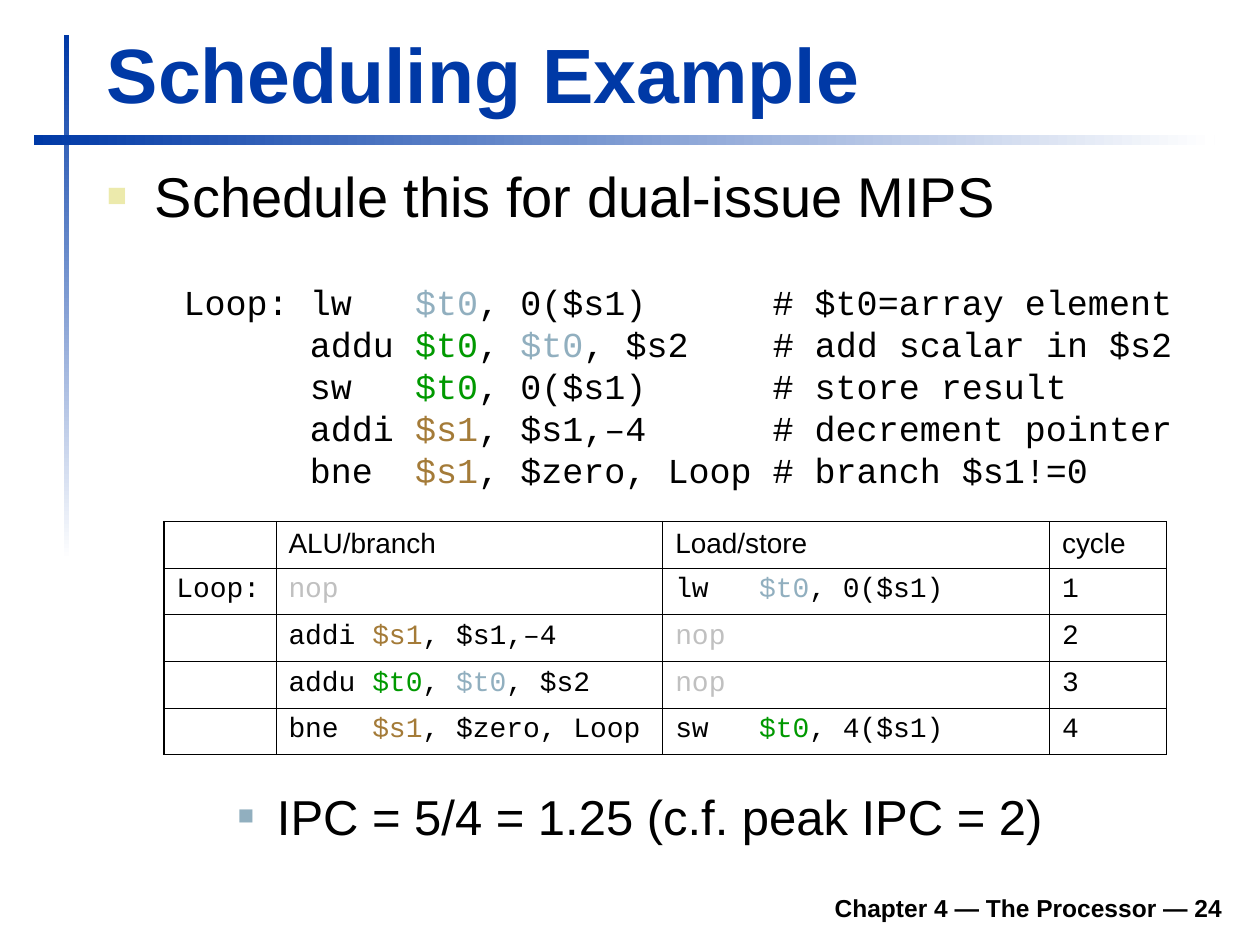
from typing import NamedTuple

from lxml.etree import SubElement
from pptx import Presentation
from pptx.dml.color import RGBColor
from pptx.enum.shapes import MSO_SHAPE as Shape
from pptx.enum.text import MSO_ANCHOR as Anchor, PP_ALIGN as Align
from pptx.oxml.ns import qn
from pptx.util import Inches, Pt

NAVY = RGBColor(0x00, 0x39, 0xA6)
WHITE = RGBColor(0xFF, 0xFF, 0xFF)
BLACK = RGBColor(0x00, 0x00, 0x00)
CREAM = RGBColor(0xEC, 0xEA, 0xAC)
STEEL = RGBColor(0x91, 0xAF, 0xBF)
GREEN = RGBColor(0x00, 0x99, 0x00)
TAN = RGBColor(0xA4, 0x7B, 0x38)
GRAY = RGBColor(0xC0, 0xC0, 0xC0)
SANS, MONO = "Arial", "Courier New"


class Part(NamedTuple):
    text: str
    color: RGBColor = BLACK


class Style(NamedTuple):
    size: float
    font: str = SANS
    color: RGBColor = BLACK
    bold: bool = False


class Box(NamedTuple):
    left: float
    top: float
    width: float
    height: float

    def place(self) -> list:
        return [Inches(side) for side in self]


class Bullet(NamedTuple):
    color: RGBColor
    scale: int
    left: float
    hang: float


# Registers, coloured by the value they carry
LOAD = Part("$t0", STEEL)
SUM = Part("$t0", GREEN)
STEP = Part("$s1", TAN)
NOP = Part("nop", GRAY)

CODE = [
    [Part("Loop: lw   "), LOAD, Part(", 0($s1)      # $t0=array element")],
    [Part("      addu "), SUM, Part(", "), LOAD, Part(", $s2    # add scalar in $s2")],
    [Part("      sw   "), SUM, Part(", 0($s1)      # store result")],
    [Part("      addi "), STEP, Part(", $s1,–4      # decrement pointer")],
    [Part("      bne  "), STEP, Part(", $zero, Loop # branch $s1!=0")],
]

HEAD = [[], [Part("ALU/branch")], [Part("Load/store")], [Part("cycle")]]
SLOTS = [
    ([NOP], [Part("lw   "), LOAD, Part(", 0($s1)")]),
    ([Part("addi "), STEP, Part(", $s1,–4")], [NOP]),
    ([Part("addu "), SUM, Part(", "), LOAD, Part(", $s2")], [NOP]),
    ([Part("bne  "), STEP, Part(", $zero, Loop")], [Part("sw   "), SUM, Part(", 4($s1)")]),
]
WIDTHS = [0.89, 3.07, 3.07, 0.93]
THIN, RULE, THICK = 0.45, 0.75, 1.08


def add_runs(para, parts: list, style: Style) -> None:
    for part in parts:
        run = para.add_run()
        run.text = part.text
        font = run.font
        font.name, font.size, font.bold = style.font, Pt(style.size), style.bold
        font.color.rgb = part.color


def add_box(slide, box: Box, anchor=Anchor.TOP, wrap: bool = True):
    frame = slide.shapes.add_textbox(*box.place()).text_frame
    frame.word_wrap = wrap
    frame.vertical_anchor = anchor
    return frame.paragraphs[0]


def add_label(slide, box: Box, text: str, style: Style,
              align=Align.LEFT, anchor=Anchor.BOTTOM):
    para = add_box(slide, box, anchor)
    para.alignment = align
    add_runs(para, [Part(text, style.color)], style)
    return para


def add_bullet(para, mark: Bullet) -> None:
    props = para._p.get_or_add_pPr()
    props.set("marL", str(Inches(mark.left)))
    props.set("indent", str(-Inches(mark.hang)))
    tint = SubElement(props, qn("a:buClr"))
    SubElement(tint, qn("a:srgbClr")).set("val", str(mark.color))
    SubElement(props, qn("a:buSzPct")).set("val", str(mark.scale * 1000))
    SubElement(props, qn("a:buFont")).set("typeface", SANS)
    SubElement(props, qn("a:buChar")).set("char", "■")


def add_bar(slide, box: Box, angle: int) -> None:
    bar = slide.shapes.add_shape(Shape.RECTANGLE, *box.place())
    bar.shadow.inherit = False
    bar.line.fill.background()
    bar.fill.gradient()
    bar.fill.gradient_angle = angle
    for stop, color in zip(bar.fill.gradient_stops, (NAVY, WHITE)):
        stop.color.rgb = color


def add_edges(cell, edges: dict) -> None:
    props = cell._tc.get_or_add_tcPr()
    for spot, (side, width) in enumerate(edges.items()):
        line = SubElement(props, qn(f"a:ln{side}"))
        line.set("w", str(Pt(width)))
        fill = SubElement(line, qn("a:solidFill"))
        SubElement(fill, qn("a:srgbClr")).set("val", str(BLACK))
        props.insert(spot, line)


def add_plan(slide, box: Box) -> None:
    rows = [HEAD]
    for num, (alu, mem) in enumerate(SLOTS, 1):
        tag = [Part("Loop:")] if num == 1 else []
        rows.append([tag, alu, mem, [Part(str(num))]])
    table = slide.shapes.add_table(len(rows), len(WIDTHS), *box.place()).table
    table.first_row = table.horz_banding = False
    for col, width in zip(table.columns, WIDTHS):
        col.width = Inches(width)
    # Heavy frame, medium rule under the head, thin lines inside
    across = [THICK] + [THIN] * (len(WIDTHS) - 1) + [THICK]
    down = [THICK, RULE] + [THIN] * (len(rows) - 2) + [THICK]
    for y, row in enumerate(rows):
        style = Style(16, MONO if y else SANS)
        for x, parts in enumerate(row):
            cell = table.cell(y, x)
            cell.fill.background()
            para = cell.text_frame.paragraphs[0]
            if parts:
                add_runs(para, parts, style)
            else:
                SubElement(para._p, qn("a:endParaRPr")).set("sz", str(style.size * 100))
            add_edges(cell, {"L": across[x], "R": across[x + 1],
                             "T": down[y], "B": down[y + 1]})


def main() -> None:
    deck = Presentation()
    deck.slide_width, deck.slide_height = Inches(10), Inches(7.5)
    slide = deck.slides.add_slide(deck.slide_layouts[6])

    # Fading bars
    add_bar(slide, Box(0.51, 0.28, 0.04, 4.17), 270)
    add_bar(slide, Box(0.27, 1.07, 9.37, 0.08), 0)

    # Footer and title
    add_label(slide, Box(1.85, 6.98, 7.95, 0.39), "Chapter 4 — The Processor — 24",
              Style(14, bold=True), Align.RIGHT)
    add_label(slide, Box(0.75, 0.16, 9.03, 0.83), "Scheduling Example",
              Style(44, color=NAVY, bold=True))

    # Task
    task = add_label(slide, Box(0.75, 1.23, 9.04, 0.76),
                     "Schedule this for dual-issue MIPS", Style(32), anchor=Anchor.TOP)
    add_bullet(task, Bullet(CREAM, 60, 0.38, 0.38))

    # Loop code
    para = add_box(slide, Box(1.36, 2.18, 8.07, 1.77), wrap=False)
    para.line_spacing = Pt(24)
    for num, line in enumerate(CODE):
        if num:
            para.add_line_break()
        add_runs(para, line, Style(20, MONO))

    # Issue plan and result
    add_plan(slide, Box(1.3, 4.14, 7.95, 1.85))
    note = add_label(slide, Box(1.29, 6.19, 8.5, 0.71),
                     "IPC = 5/4 = 1.25 (c.f. peak IPC = 2)", Style(28), anchor=Anchor.TOP)
    note.level = 1
    add_bullet(note, Bullet(STEEL, 55, 0.81, 0.31))

    deck.save("out.pptx")


if __name__ == "__main__":
    main()
